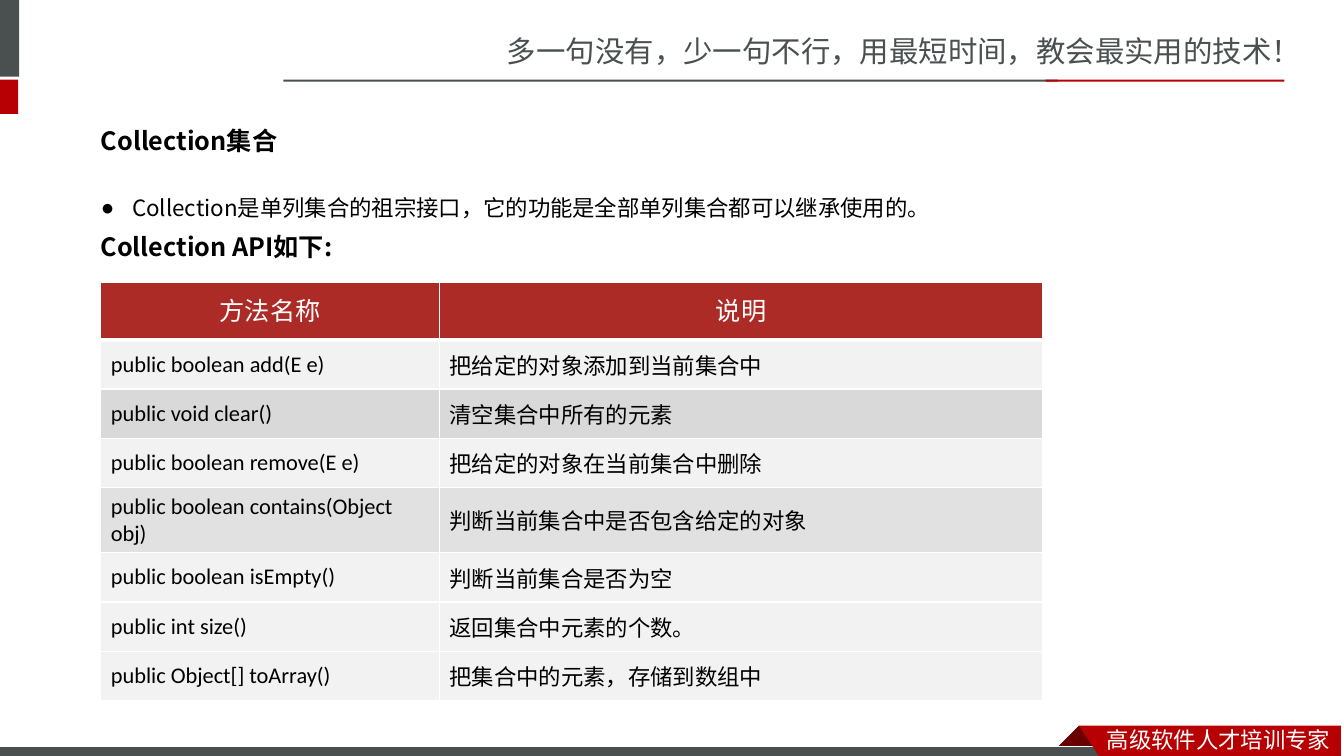
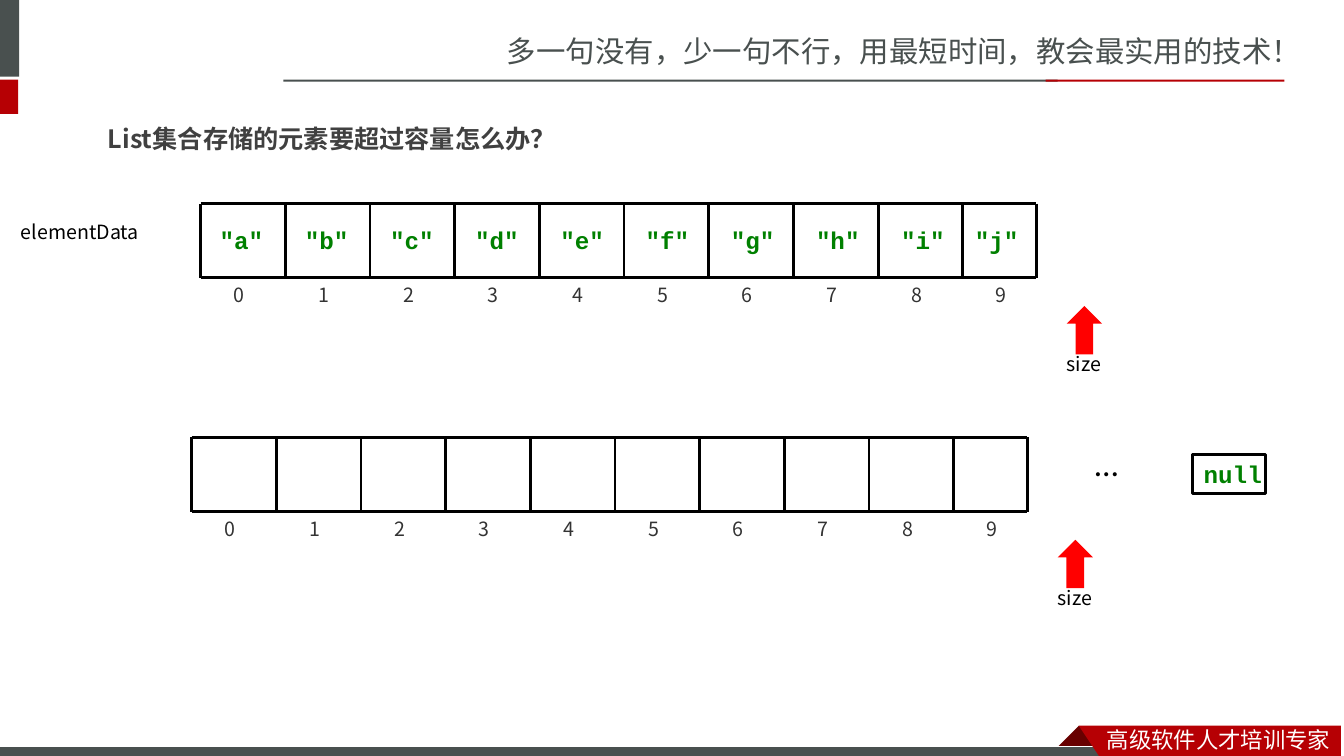
"""Build two lesson slides on Java collections and list growth."""
from lxml import etree
from pptx import Presentation
from pptx.dml.color import RGBColor
from pptx.enum.shapes import MSO_CONNECTOR, MSO_SHAPE
from pptx.enum.text import MSO_ANCHOR, MSO_AUTO_SIZE, PP_ALIGN
from pptx.oxml.ns import qn
from pptx.util import Inches, Pt

RECT, ARROW = MSO_SHAPE.RECTANGLE, MSO_SHAPE.UP_ARROW
LINE = MSO_CONNECTOR.STRAIGHT
TOP, MID = MSO_ANCHOR.TOP, MSO_ANCHOR.MIDDLE
LEFT, MIDST = PP_ALIGN.LEFT, PP_ALIGN.CENTER
FIXED = MSO_AUTO_SIZE.NONE

INK = {
    "gray": "49504F", "red": "B60004", "fold": "680000", "white": "FFFFFF",
    "black": "000000", "head": "AD2B26", "pale": "F2F2F2", "band": "D9D9D9",
    "soft": "E1E1E1", "dark": "404040", "mark": "333333", "code": "008000",
    "hot": "FF0000",
}
SANS, BOLD, BODY, MONO = "Noto Sans CJK SC", "Noto Sans CJK JP", "Calibri", "Courier New"
UNIT = Inches(0.1)


def write(frame, text, size, ink, name=SANS, bold=False, gap=None,
          align=LEFT, wrap=True, anchor=TOP):
    """Fill a text frame with one styled paragraph and return it."""
    frame.text = text
    frame.word_wrap = wrap
    frame.vertical_anchor = anchor
    para = frame.paragraphs[0]
    para.alignment = align
    para.space_before = Pt(0)
    if gap:
        para.line_spacing = gap
    font = para.font
    font.size, font.bold, font.name = Pt(size), bold, name
    font.color.rgb = RGBColor.from_string(INK[ink])
    east = SANS if name in (BODY, MONO) else name
    base = para._p.pPr.find(qn("a:defRPr"))
    etree.SubElement(base, qn("a:ea")).set("typeface", east)
    return para


def paint(shape, fill=None, line=None, width=1):
    """Set fill and outline, without a shadow."""
    shape.shadow.inherit = False
    if fill:
        shape.fill.solid()
        shape.fill.fore_color.rgb = RGBColor.from_string(INK[fill])
    else:
        shape.fill.background()
    if line:
        shape.line.color.rgb = RGBColor.from_string(INK[line])
        shape.line.width = Pt(width)
    else:
        shape.line.fill.background()


deck = Presentation()
deck.slide_width, deck.slide_height = Inches(13.33), Inches(7.5)
grid = lambda *spots: [round(spot * UNIT) for spot in spots]

first = deck.slides.add_slide(deck.slide_layouts[1])
title, body = first.placeholders
art = first.shapes
held = len(art)

slogan = art.add_textbox(*grid(49.3, 2.8, 84.1, 4.7))
write(slogan.text_frame, "多一句没有，少一句不行，用最短时间，教会最实用的技术！", 21, "gray")
for spot, fill, line in (
    ((-0.6, 0, 2.5, 7.6), "gray", None),
    ((-0.6, 7.9, 2.4, 3.4), "red", None),
    ((28.1, 7.9, 76.8, 0.2), "gray", None),
    ((103.7, 7.9, 23.7, 0.2), "red", None),
    ((-0.1, 74.1, 110, 1.2), "gray", "white"),
):
    paint(art.add_shape(RECT, *grid(*spot)), fill, line, 0.75)
for fill, points in (
    ("fold", [(107.3, 72), (109.5, 74.2), (109.4, 74.3), (105.2, 74.3), (105.1, 74.2)]),
    ("red", [(107.3, 72), (133.3, 72), (133.3, 75.4), (108.6, 75.3)]),
):
    path = art.build_freeform(*points[0], scale=UNIT)
    path.add_line_segments(points[1:], close=True)
    paint(path.convert_to_shape(), fill)
motto = art.add_textbox(*grid(108.8, 71.5, 24.5, 3.7))
write(motto.text_frame, "高级软件人才培训专家", 16, "white")

tree = deck.slide_master.shapes._spTree
for mark, part in enumerate(list(art)[held:], 20):
    part._element.nvSpPr.cNvPr.set("id", str(mark))
    tree.append(part._element)

title.left, title.top, title.width, title.height = grid(9, 8.9, 118.8, 8.2)
write(title.text_frame, "Collection集合", 18, "black", BOLD, True, 2.0)
title.text_frame.auto_size = FIXED
body.left, body.top, body.width, body.height = grid(9, 16.1, 118.8, 7.4)
item = write(body.text_frame, "Collection是单列集合的祖宗接口，它的功能是全部单列集合都可以继承使用的。",
             16, "black", BOLD, gap=2.0)
body.text_frame.auto_size = FIXED
props = item._p.pPr
props.set("marL", str(Inches(0.31)))
props.set("indent", str(-Inches(0.31)))
dot = etree.Element(qn("a:buChar"))
dot.set("char", "●")
props.find(qn("a:defRPr")).addprevious(dot)

rows = (
    ("方法名称", "说明", "head"),
    ("public boolean add(E e)", "把给定的对象添加到当前集合中", "pale"),
    ("public void clear()", "清空集合中所有的元素", "band"),
    ("public boolean remove(E e)", "把给定的对象在当前集合中删除", "pale"),
    ("public boolean contains(Object obj)", "判断当前集合中是否包含给定的对象", "soft"),
    ("public boolean isEmpty()", "判断当前集合是否为空", "pale"),
    ("public int size()", "返回集合中元素的个数。", "pale"),
    ("public Object[] toArray()", "把集合中的元素，存储到数组中", "pale"),
)
table = art.add_table(len(rows), 2, *grid(10, 28, 93.4, 40)).table
table.columns[0].width, table.columns[1].width = grid(33.6, 59.8)
for r, (*words, fill) in enumerate(rows):
    table.rows[r].height = Inches(0.49 if r else 0.57)
    for c, word in enumerate(words):
        cell = table.cell(r, c)
        if r:
            write(cell.text_frame, word, 16, "black", BODY)
        else:
            write(cell.text_frame, word, 18, "white", BODY, gap=Pt(24), align=MIDST)
        cell.vertical_anchor = MID
        edges = cell._tc.get_or_add_tcPr()
        for side in "LRTB":
            thick = 3 if (r, side) in ((0, "B"), (1, "T")) else 1
            edge = etree.SubElement(edges, qn(f"a:ln{side}"))
            edge.set("w", str(Pt(thick)))
            solid = etree.SubElement(edge, qn("a:solidFill"))
            etree.SubElement(solid, qn("a:srgbClr")).set("val", INK["white"])
        cell.fill.solid()
        cell.fill.fore_color.rgb = RGBColor.from_string(INK[fill])

label = art.add_textbox(*grid(9, 19.5, 66.7, 6.3))
write(label.text_frame, "Collection API如下:", 18, "black", BOLD, True, 2.0)

second = deck.slides.add_slide(deck.slide_layouts[5])
art = second.shapes
title = art.title
title.left, title.top, title.width, title.height = grid(9.7, 10.2, 105.9, 5.1)
write(title.text_frame, "List集合存储的元素要超过容量怎么办？", 18, "dark", BOLD, True, 1.5)
title.text_frame.auto_size = FIXED
label = art.add_textbox(*grid(1.1, 20.2, 14.6, 4.1))
write(label.text_frame, "elementData", 14, "black", gap=1.5)

STEP, WIDE, TALL = 8.4, 82.9, 7.35
tags = [(min(20.8 + 8.45 * n, 95.7), 21.8, f'"{sign}"') for n, sign in enumerate("abcdefghij")]
for x, y, word in tags + [(118.4, 45.1, "null")]:
    tag = art.add_shape(RECT, *grid(x, y, 8.1, 3.9))
    paint(tag, "white")
    write(tag.text_frame, word, 17.3, "code", MONO, True, anchor=MID)

for x, y in ((19.9, 20.2), (19, 43.4)):
    walls = [x + STEP * n for n in range(10)] + [x + WIDE]
    lines = [(x, edge, x + WIDE, edge) for edge in (y, y + TALL)]
    lines += [(wall, y, wall, y + TALL) for wall in walls]
    for ends in lines:
        rule = art.add_connector(LINE, *grid(*ends))
        rule.line.color.rgb = RGBColor.from_string(INK["black"])
        rule.line.width = Pt(2)
        etree.SubElement(rule._element.spPr, qn("a:effectLst"))
    for n in range(10):
        index = art.add_textbox(*grid(x + 2.3 + STEP * n, y + TALL, 3.2, 3.4))
        write(index.text_frame, str(n), 14, "mark", wrap=False)
    group = art.add_group_shape().shapes
    paint(group.add_shape(ARROW, *grid(x + 85.9, y + 10.15, 3.5, 4.8)), "hot")
    size = group.add_textbox(*grid(x + 84.9, y + 14.2, 5.5, 3.4))
    write(size.text_frame, "size", 14, "black", wrap=False)

more = art.add_textbox(*grid(107.6, 43.4, 4.4, 5))
write(more.text_frame, "…", 24, "black", BODY, wrap=False)
paint(art.add_shape(RECT, *grid(118.3, 45.1, 7.2, 3.9)), None, "black", 2)

deck.save("out.pptx")
